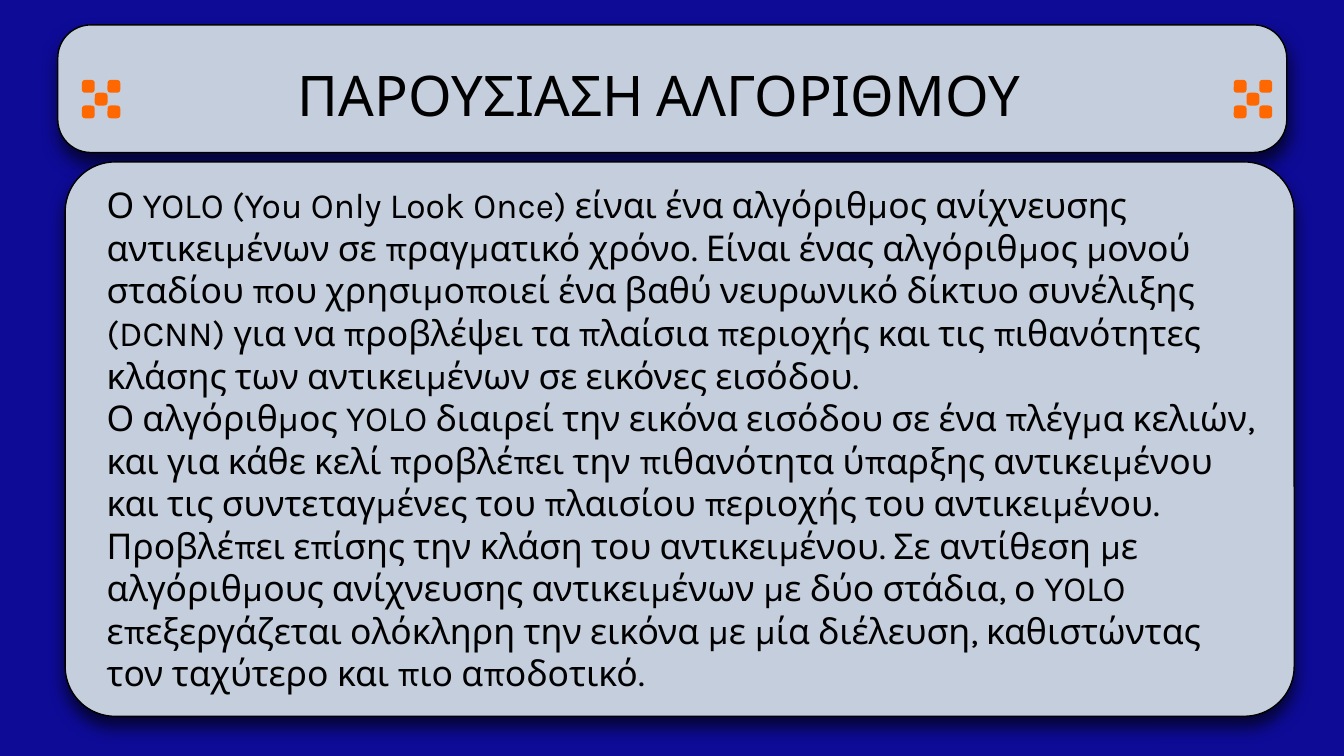
from lxml import etree
from pptx import Presentation
from pptx import util as u
from pptx.dml.color import RGBColor
from pptx.enum import shapes, text
from pptx.oxml import ns

PX = 4572  # EMU in one px, at 200 px to the inch

NAVY = RGBColor(0x0E, 0x0B, 0x97)
PALE_BLUE = RGBColor(0xC4, 0xCE, 0xDC)
ORANGE = RGBColor(0xFF, 0x67, 0x00)
BLACK = RGBColor(0x00, 0x00, 0x00)

FONT = "Karla"
TITLE = "ΠΑΡΟΥΣΙΑΣΗ ΑΛΓΟΡΙΘΜΟΥ"
PARAGRAPHS = [
    "Ο YOLO (You Only Look Once) είναι ένα αλγόριθμος ανίχνευσης "
    "αντικειμένων σε πραγματικό χρόνο. Είναι ένας αλγόριθμος μονού "
    "σταδίου που χρησιμοποιεί ένα βαθύ νευρωνικό δίκτυο συνέλιξης "
    "(DCNN) για να προβλέψει τα πλαίσια περιοχής και τις πιθανότητες "
    "κλάσης των αντικειμένων σε εικόνες εισόδου.",
    "Ο αλγόριθμος YOLO διαιρεί την εικόνα εισόδου σε ένα πλέγμα κελιών, "
    "και για κάθε κελί προβλέπει την πιθανότητα ύπαρξης αντικειμένου "
    "και τις συντεταγμένες του πλαισίου περιοχής του αντικειμένου. "
    "Προβλέπει επίσης την κλάση του αντικειμένου. Σε αντίθεση με "
    "αλγόριθμους ανίχνευσης αντικειμένων με δύο στάδια, ο YOLO "
    "επεξεργάζεται ολόκληρη την εικόνα με μία διέλευση, καθιστώντας "
    "τον ταχύτερο και πιο αποδοτικό.",
]


def px(*lengths):
    return [u.Emu(length * PX) for length in lengths]


def add_text(slide, box, paragraphs, size, align=text.PP_ALIGN.LEFT, color=BLACK):
    frame = slide.shapes.add_textbox(*px(*box)).text_frame
    frame.word_wrap = True
    frame.vertical_anchor = text.MSO_ANCHOR.TOP
    (frame.margin_left, frame.margin_top,
     frame.margin_right, frame.margin_bottom) = px(20, 20, 20, 20)
    for index, content in enumerate(paragraphs):
        paragraph = frame.paragraphs[0] if index == 0 else frame.add_paragraph()
        paragraph.alignment = align
        run = paragraph.add_run()
        run.text = content
        run.font.name = FONT
        run.font.size = u.Pt(size)
        run.font.color.rgb = color


def add_rounded(container, box, color, rounding):
    shape = container.add_shape(shapes.MSO_SHAPE.ROUNDED_RECTANGLE, *px(*box))
    shape.adjustments[0] = rounding
    shape.fill.solid()
    shape.fill.fore_color.rgb = color
    shape.line.fill.background()
    shape.shadow.inherit = False
    return shape


def add_shadow(shape):
    effects = shape._element.spPr.find(ns.qn("a:effectLst"))
    shadow = etree.SubElement(
        effects, ns.qn("a:outerShdw"), blurRad=str(u.Pt(9)),
        dist=str(u.Pt(5.2)), dir=str(90 * 60000), algn="bl", rotWithShape="0")
    color = etree.SubElement(shadow, ns.qn("a:srgbClr"), val=str(BLACK))
    etree.SubElement(color, ns.qn("a:alpha"), val="66000")


def add_panel(slide, box, rounding):
    panel = add_rounded(slide.shapes, box, PALE_BLUE, rounding)
    panel.line.color.rgb = BLACK
    panel.line.width = u.Pt(0.75)
    add_shadow(panel)


def add_ornament(slide, left, top, side):
    """Five small squares set like the five on a die."""
    group = slide.shapes.add_group_shape()
    for column, row in [(0, 0), (1, 1), (0, 2), (2, 0), (2, 2)]:
        box = (left + column * side, top + row * side, side, side)
        add_rounded(group.shapes, box, ORANGE, 0.24)


def add_header(slide, left, top, width, height):
    add_panel(slide, (left, top, width, height), 0.26)
    add_text(slide, (left + 53, top + 33, width - 144, height - 64), [TITLE], 30,
             align=text.PP_ALIGN.CENTER)
    for offset in (36, 1750):
        add_ornament(slide, left + offset, top + 82, 19)


def add_body(slide, left, top, width, height):
    add_panel(slide, (left, top, width, height), 0.09)
    add_text(slide, (left + 42, top + 12, width - 76, height - 24), PARAGRAPHS, 19)


def main():
    presentation = Presentation()
    presentation.slide_width, presentation.slide_height = px(2000, 1125)
    slide = presentation.slides.add_slide(presentation.slide_layouts[6])
    slide.background.fill.solid()
    slide.background.fill.fore_color.rgb = NAVY
    add_header(slide, 86, 37, 1829, 190)
    add_body(slide, 97, 241, 1829, 825)
    presentation.save("out.pptx")


if __name__ == "__main__":
    main()
